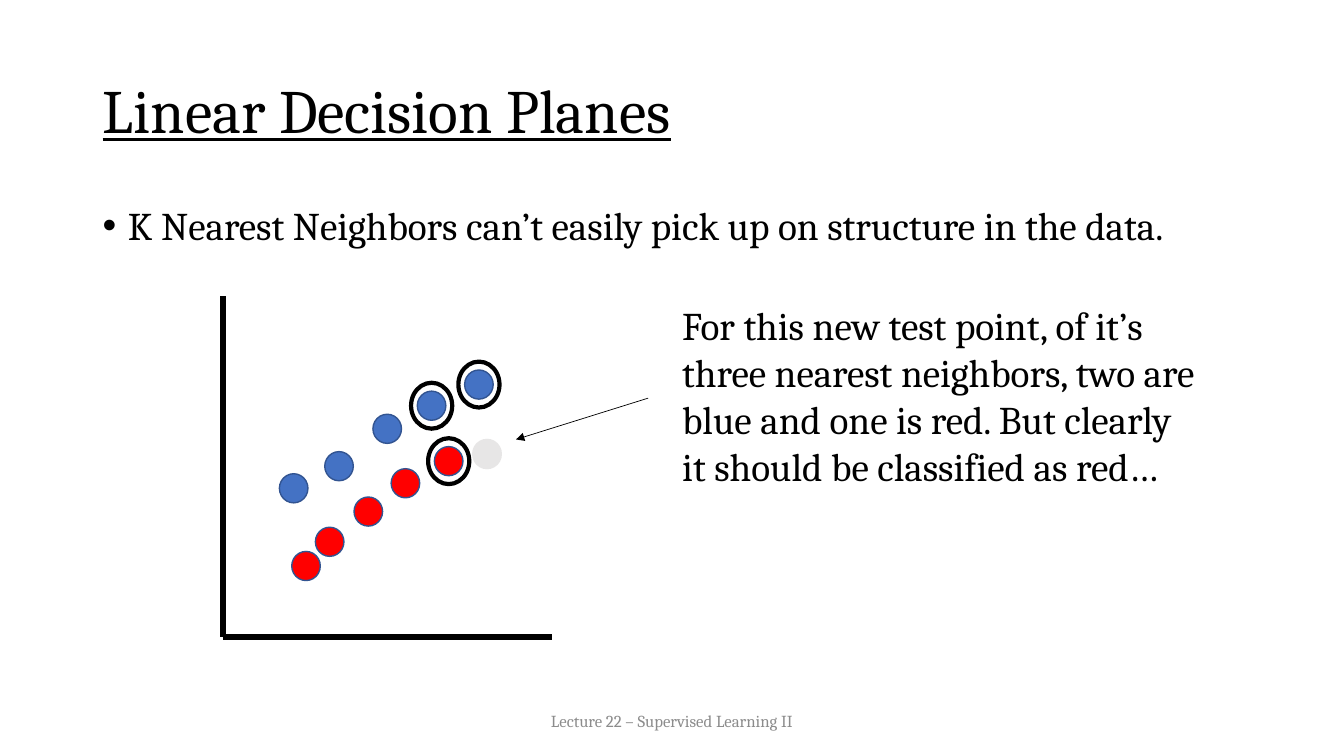
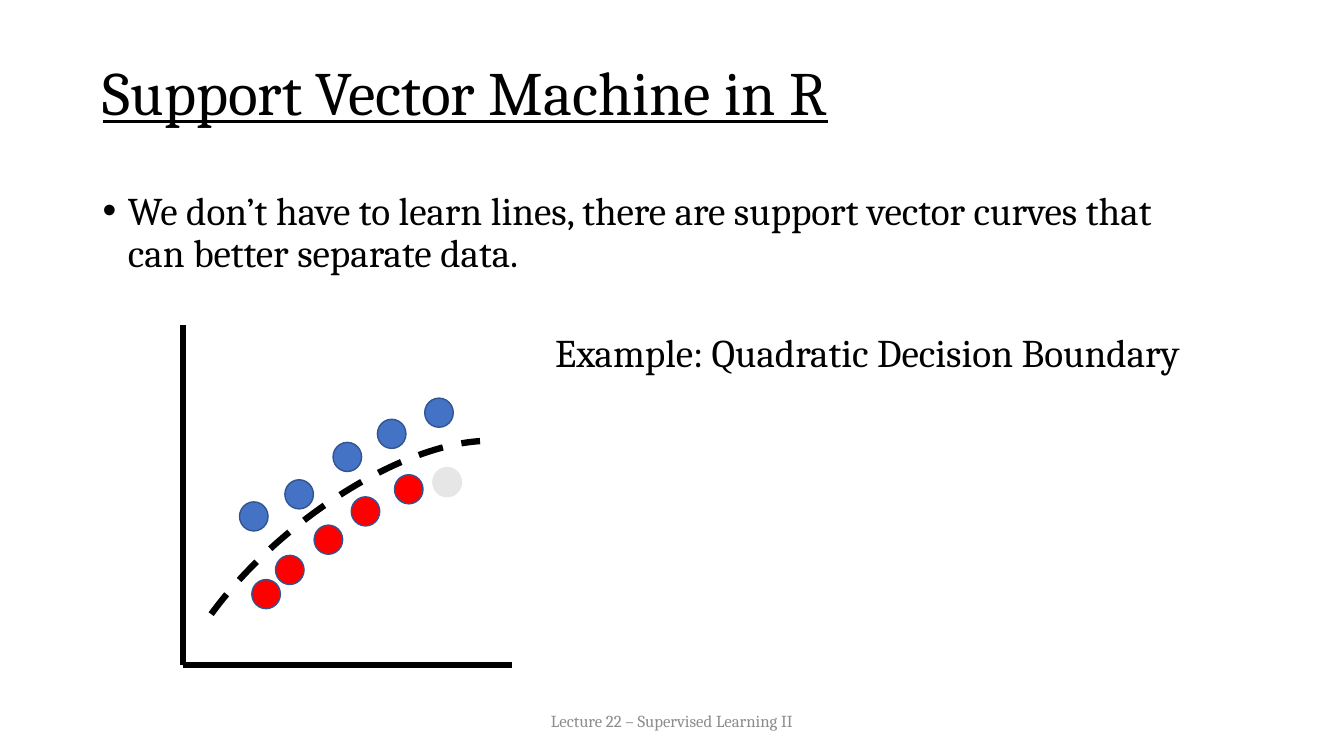
"""Build two lecture slides about decision boundaries for classifiers."""
from lxml.etree import SubElement
from pptx import Presentation
from pptx.dml.color import RGBColor
from pptx.enum.dml import MSO_LINE_DASH_STYLE as Dash
from pptx.enum.shapes import MSO_CONNECTOR as Connector, MSO_SHAPE as Preset
from pptx.enum.text import MSO_ANCHOR as Anchor, MSO_AUTO_SIZE as AutoSize, PP_ALIGN as Align
from pptx.oxml.ns import qn
from pptx.util import Pt

COLORS = {
    "black": "000000",
    "footer": "8C8C8C",
    "blue": "4472C4",
    "outline": "325491",
    "red": "FF0000",
    "gray": "E7E6E6",
}
FONT = "Cambria"
FOOTER = "Lecture 22 – Supervised Learning II"
MARGIN = 66.2
DOT_SIZE = (20.4, 20.8)
RING_GAP = (4.5, 6)
AXIS_WIDTH, AXIS_HEIGHT = 235, 243.4
BLUE_DOTS = [(40.5, 126.7), (72.9, 110.9), (107.3, 84.2), (139, 67.7), (172.8, 52.6)]
RED_DOTS = [(49.3, 182.2), (66.2, 164.9), (93.8, 143.3), (120.3, 123.1), (151.2, 107.3)]
TEST_DOT = (178.6, 102.2)
NEAREST_DOTS = [RED_DOTS[-1], BLUE_DOTS[-2], BLUE_DOTS[-1]]


def color(name):
    return RGBColor.from_string(COLORS[name])


def points(*lengths):
    return [Pt(length) for length in lengths]


def place(shape, box):
    shape.left, shape.top, shape.width, shape.height = points(*box)


def write(shape, text, size=28, ink="black", underline=None, align=Align.LEFT,
          anchor=Anchor.TOP, spacing=None, before=0, wrap=True, fit=AutoSize.NONE):
    frame = shape.text_frame
    frame.word_wrap = wrap
    frame.auto_size = fit
    frame.vertical_anchor = anchor
    paragraph = frame.paragraphs[0]
    paragraph.alignment = align
    paragraph.line_spacing = spacing
    paragraph.space_before = Pt(before)
    run = paragraph.add_run()
    run.text = text
    font = run.font
    font.name, font.size, font.underline = FONT, Pt(size), underline
    font.color.rgb = color(ink)
    return paragraph


def add_title(slide, text, top):
    title = slide.shapes.title
    place(title, (MARGIN, top, 828, 104.4))
    write(title, text, size=44, underline=True, anchor=Anchor.MIDDLE, spacing=0.9)


def add_bullet(slide, text, top, width, height):
    body = slide.placeholders[1]
    place(body, (MARGIN, top, width, height))
    properties = write(body, text, spacing=0.9, before=10)._p.get_or_add_pPr()
    properties.set("marL", str(Pt(18)))
    properties.set("indent", str(Pt(-18)))
    SubElement(properties, qn("a:buFont"), typeface="Arial")
    SubElement(properties, qn("a:buChar"), char="•")


def add_text(slide, text, box, **text_format):
    write(slide.shapes.add_textbox(*points(*box)), text, **text_format)


def add_line(shapes, start, end, width, arrow=False):
    line = shapes.add_connector(Connector.STRAIGHT, *points(*start, *end))
    line.line.color.rgb = color("black")
    line.line.width = Pt(width)
    properties = line._element.spPr
    if arrow:
        SubElement(properties.find(qn("a:ln")), qn("a:tailEnd"), type="triangle")
    SubElement(properties, qn("a:effectLst"))


def add_outlined(slide, preset, box, fill=None, ink="black", width=1):
    shape = slide.shapes.add_shape(preset, *points(*box))
    shape.shadow.inherit = False
    if fill:
        shape.fill.solid()
        shape.fill.fore_color.rgb = color(fill)
    else:
        shape.fill.background()
    shape.line.color.rgb = color(ink)
    shape.line.width = Pt(width)
    return shape


def add_scatter(slide, left, top):
    corner = (left, top + AXIS_HEIGHT)
    axes = slide.shapes.add_group_shape().shapes
    add_line(axes, (left, top), corner, 4.5)
    add_line(axes, (left + AXIS_WIDTH, corner[1]), corner, 4.5)
    for dots, fill, ink in ((BLUE_DOTS, "blue", "outline"),
                            (RED_DOTS, "red", "outline"),
                            ([TEST_DOT], "gray", "gray")):
        for x, y in dots:
            add_outlined(slide, Preset.OVAL, (left + x, top + y, *DOT_SIZE), fill, ink)


def add_neighbor_rings(slide, left, top):
    gap_x, gap_y = RING_GAP
    width, height = DOT_SIZE
    for x, y in NEAREST_DOTS:
        box = (left + x - gap_x, top + y - gap_y, width + 2 * gap_x, height + 2 * gap_y)
        add_outlined(slide, Preset.OVAL, box, width=3)


def add_curve(slide, box, rotation, start_angle, end_angle):
    curve = add_outlined(slide, Preset.ARC, box, width=4.5)
    curve.rotation = rotation
    curve.line.dash_style = Dash.DASH
    for index, angle in enumerate((start_angle, end_angle)):
        curve.adjustments[index] = angle * 0.6


def add_slide(presentation, title, title_top):
    slide = presentation.slides.add_slide(presentation.slide_layouts[1])
    add_title(slide, title, title_top)
    add_text(slide, FOOTER, (318, 500.5, 324, 28.75), size=12, ink="footer",
             align=Align.CENTER, anchor=Anchor.MIDDLE)
    return slide


def add_linear_slide(presentation):
    slide = add_slide(presentation, "Linear Decision Planes", 28.75)
    add_bullet(slide, "K Nearest Neighbors can’t easily pick up on structure in the data.",
               143.75, 828, 342.6)
    chart_corner = (159.1, 211.7)
    add_scatter(slide, *chart_corner)
    add_line(slide.shapes, (463, 284.4), (368.6, 313.9), 0.5, arrow=True)
    add_text(slide, "For this new test point, of it’s three nearest neighbors, two are blue "
             "and one is red. But clearly it should be classified as red…",
             (480.2, 211.7, 382.3, 177), fit=AutoSize.SHAPE_TO_FIT_TEXT)
    add_neighbor_rings(slide, *chart_corner)


def add_vector_slide(presentation):
    slide = add_slide(presentation, "Support Vector Machine in R", 15.85)
    add_bullet(slide, "We don’t have to learn lines, there are support vector curves "
               "that can better separate data.", 133.2, 790.6, 331.2)
    add_scatter(slide, 130.6, 231.8)
    add_curve(slide, (90.7, 360, 334.8, 150.5), 321.1, 217.05, 344.12)
    add_text(slide, "Example: Quadratic Decision Boundary", (389.5, 231.1, 485.3, 41),
             wrap=False, fit=AutoSize.SHAPE_TO_FIT_TEXT)


def main():
    presentation = Presentation()
    presentation.slide_width, presentation.slide_height = points(960, 540)
    add_linear_slide(presentation)
    add_vector_slide(presentation)
    presentation.save("out.pptx")


main()
